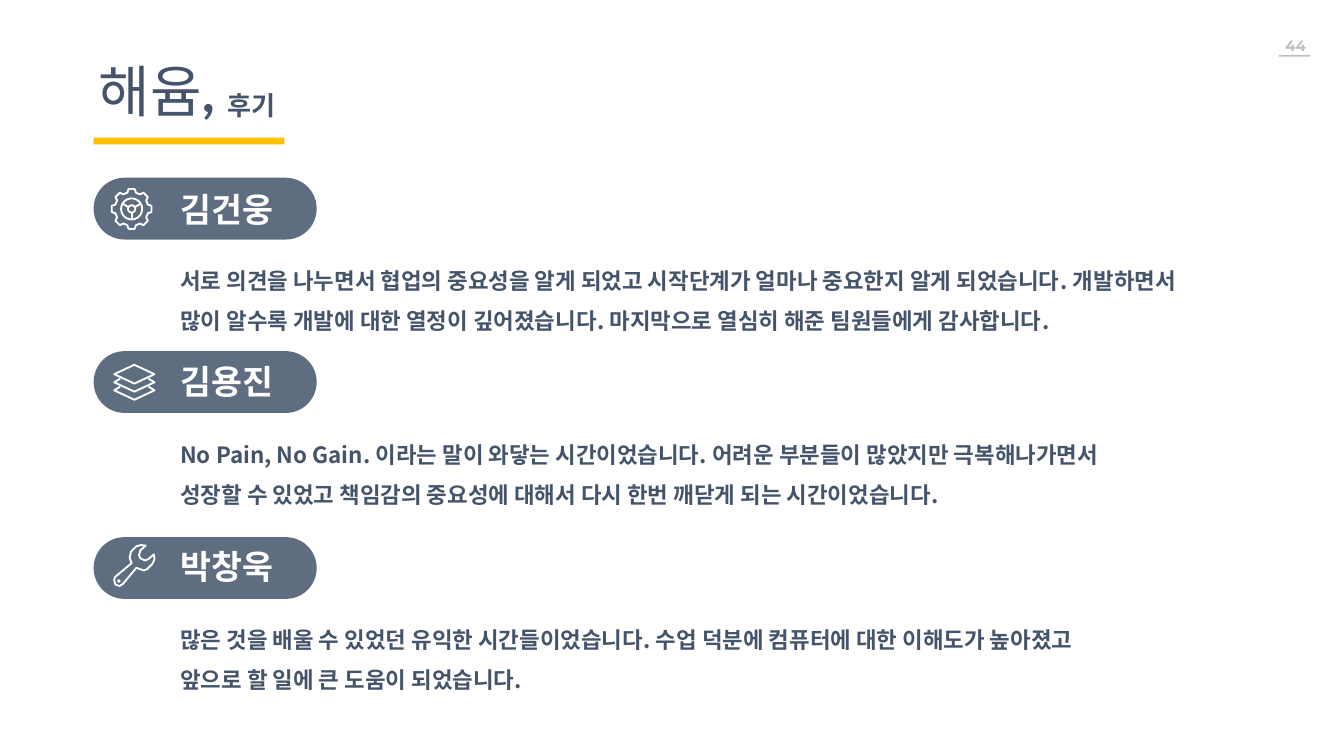
import dataclasses
import math

import lxml.etree
import pptx
import pptx.dml.color
import pptx.enum.shapes
import pptx.enum.text
import pptx.oxml.ns
import pptx.util

EMU_PER_PX = 914.4
SLATE = pptx.dml.color.RGBColor(0x44, 0x54, 0x6A)
AMBER = pptx.dml.color.RGBColor(0xFF, 0xC0, 0x00)
SILVER = pptx.dml.color.RGBColor(0xBF, 0xBF, 0xBF)
WHITE = pptx.dml.color.RGBColor(0xFF, 0xFF, 0xFF)
KOREAN_FACE = "Noto Sans CJK KR"
RECTANGLE = pptx.enum.shapes.MSO_SHAPE.RECTANGLE
PILL = pptx.enum.shapes.MSO_SHAPE.ROUNDED_RECTANGLE
TOP = pptx.enum.text.MSO_ANCHOR.TOP
MIDDLE = pptx.enum.text.MSO_ANCHOR.MIDDLE
LEFT = pptx.enum.text.PP_ALIGN.LEFT
CENTER = pptx.enum.text.PP_ALIGN.CENTER


@dataclasses.dataclass(frozen=True)
class Area:
    left: int
    top: int
    width: int
    height: int


@dataclasses.dataclass(frozen=True)
class Style:
    size: int
    color: pptx.dml.color.RGBColor
    face: str = KOREAN_FACE
    bold: bool = True


@dataclasses.dataclass(frozen=True)
class Contour:
    points: list[tuple[float, float]]
    closed: bool = True


@dataclasses.dataclass(frozen=True)
class Review:
    name: str
    badge_top: int
    name_top: int
    comment_top: int
    comment: list[str]
    icon: list[Contour]


def px(length: float) -> pptx.util.Emu:
    return pptx.util.Emu(round(length * EMU_PER_PX))


def polar(x: int, y: int, radius: int, degrees: float) -> tuple[float, float]:
    angle = math.radians(degrees)
    return x + radius * math.cos(angle), y + radius * math.sin(angle)


def circle(x: int, y: int, radius: int) -> Contour:
    return Contour([polar(x, y, radius, degrees) for degrees in range(0, 360, 10)])


def gear_icon(x: int, y: int) -> list[Contour]:
    tooth = [(-15, 125), (-9, 150), (9, 150), (15, 125)]
    rim = [
        polar(x, y, radius, turn + degrees)
        for turn in range(0, 360, 45)
        for degrees, radius in tooth
    ]
    spokes = [
        Contour([polar(x, y, 27, degrees), polar(x, y, 78, degrees)], False)
        for degrees in (90, 210, 330)
    ]
    return [Contour(rim), circle(x, y, 78), circle(x, y, 27), *spokes]


def layers_icon(x: int, y: int) -> list[Contour]:
    sheet = Contour([(x, y - 130), (x + 150, y - 60), (x, y + 10), (x - 150, y - 60)])
    edges = [
        Contour(
            [
                (x - 105, middle - 27),
                (x - 150, middle),
                (x, middle + 70),
                (x + 150, middle),
                (x + 105, middle - 27),
            ],
            False,
        )
        for middle in (y, y + 60)
    ]
    return [sheet, *edges]


def wrench_icon() -> list[Contour]:
    outline = [
        (1045, 4095), (1035, 4130), (1045, 4155), (1080, 4170), (1105, 4160),
        (1145, 4125), (1150, 4160), (1135, 4195), (1095, 4235), (1070, 4245),
        (1015, 4225), (915, 4345), (890, 4360), (860, 4350), (850, 4320),
        (855, 4295), (980, 4190), (965, 4150), (975, 4105), (1015, 4065),
        (1050, 4055), (1085, 4060),
    ]
    return [Contour(outline), circle(885, 4323, 5)]


def place(shape, area: Area) -> None:
    shape.left, shape.top = px(area.left), px(area.top)
    shape.width, shape.height = px(area.width), px(area.height)


def set_frame(box, inset_x: int, inset_y: int, anchor) -> None:
    frame = box.text_frame
    frame.word_wrap = True
    frame.auto_size = pptx.enum.text.MSO_AUTO_SIZE.NONE
    frame.vertical_anchor = anchor
    frame.margin_left = frame.margin_right = px(inset_x)
    frame.margin_top = frame.margin_bottom = px(inset_y)


def set_font(font, style: Style) -> None:
    font.size = pptx.util.Pt(style.size)
    font.bold = style.bold
    font.name = style.face
    font.color.rgb = style.color


def add_text(page, area: Area, lines: list[str], style: Style, inset_x: int = 100,
             inset_y: int = 100, anchor=TOP, align=LEFT, spacing: float = 1.0) -> None:
    box = page.shapes.add_textbox(0, 0, 0, 0)
    place(box, area)
    set_frame(box, inset_x, inset_y, anchor)
    box.text_frame.text = "\n".join(lines)
    for para in box.text_frame.paragraphs:
        para.alignment = align
        para.line_spacing = spacing
        set_font(para.font, style)


def add_block(page, kind, area: Area, color: pptx.dml.color.RGBColor, opacity: int = 100) -> None:
    block = page.shapes.add_shape(kind, 0, 0, 0, 0)
    place(block, area)
    block.shadow.inherit = False
    block.fill.solid()
    block.fill.fore_color.rgb = color
    block.line.fill.background()
    if kind == PILL:
        block.adjustments[0] = 0.5
    if opacity < 100:
        paint = block._element.spPr.find(".//" + pptx.oxml.ns.qn("a:srgbClr"))
        alpha = lxml.etree.SubElement(paint, pptx.oxml.ns.qn("a:alpha"))
        alpha.set("val", str(opacity * 1000))


def add_icon(page, contours: list[Contour]) -> None:
    builder = page.shapes.build_freeform(*contours[0].points[0], scale=EMU_PER_PX)
    for index, contour in enumerate(contours):
        if index:
            builder.move_to(*contour.points[0])
        builder.add_line_segments(contour.points[1:], close=contour.closed)
    icon = builder.convert_to_shape()
    icon.shadow.inherit = False
    icon.fill.background()
    icon.line.color.rgb = WHITE
    icon.line.width = pptx.util.Pt(1)


def add_title(page) -> None:
    title = page.shapes.title
    place(title, Area(695, 400, 1290, 540))
    set_frame(title, 40, 20, TOP)
    para = title.text_frame.paragraphs[0]
    para.alignment = LEFT
    for text, style in (("해윰", Style(30, SLATE, bold=False)), (",", Style(30, SLATE, "Lato"))):
        span = para.add_run()
        span.text = text
        set_font(span.font, style)


def add_review(page, review: Review) -> None:
    add_block(page, PILL, Area(697, review.badge_top, 1660, 460), SLATE, 85)
    add_icon(page, review.icon)
    add_text(page, Area(1243, review.name_top, 1110, 460), [review.name],
             Style(18, WHITE), anchor=MIDDLE)
    add_text(page, Area(1243, review.comment_top, 7840, 720), review.comment,
             Style(12, SLATE), spacing=1.5)


def finish_fonts(page) -> None:
    for latin in list(page._element.iter(pptx.oxml.ns.qn("a:latin"))):
        face = lxml.etree.Element(pptx.oxml.ns.qn("a:ea"))
        face.set("typeface", latin.get("typeface"))
        latin.addnext(face)
        latin.getparent().set("kern", "0")


REVIEWS = [
    Review("김건웅", 1323, 1323, 1785, [
        "서로 의견을 나누면서 협업의 중요성을 알게 되었고 시작단계가 얼마나 중요한지 알게 되었습니다. 개발하면서 "
        "많이 알수록 개발에 대한 열정이 깊어졌습니다. 마지막으로 열심히 해준 팀원들에게 감사합니다.",
    ], gear_icon(980, 1555)),
    Review("김용진", 2613, 2605, 3080, [
        "No Pain, No Gain. 이라는 말이 와닿는 시간이었습니다. 어려운 부분들이 많았지만 극복해나가면서",
        "성장할 수 있었고 책임감의 중요성에 대해서 다시 한번 깨닫게 되는 시간이었습니다.",
    ], layers_icon(1000, 2845)),
    Review("박창욱", 3997, 3983, 4460, [
        "많은 것을 배울 수 있었던 유익한 시간들이었습니다. 수업 덕분에 컴퓨터에 대한 이해도가 높아졌고",
        "앞으로 할 일에 큰 도움이 되었습니다.",
    ], wrench_icon()),
]


def main() -> None:
    deck = pptx.Presentation()
    deck.slide_width, deck.slide_height = px(10000), px(5625)
    page = deck.slides.add_slide(deck.slide_layouts.get_by_name("Title Only"))
    add_title(page)
    add_text(page, Area(1655, 615, 1110, 330), ["후기"], Style(14, SLATE), 40, 20, MIDDLE)
    add_block(page, RECTANGLE, Area(697, 1024, 1420, 50), AMBER)
    add_text(page, Area(9466, 230, 350, 200), ["44"], Style(8, SILVER, "Montserrat"),
             70, 40, align=CENTER)
    add_block(page, RECTANGLE, Area(9516, 408, 230, 15), SILVER)
    for review in REVIEWS:
        add_review(page, review)
    finish_fonts(page)
    deck.save("out.pptx")


if __name__ == "__main__":
    main()
